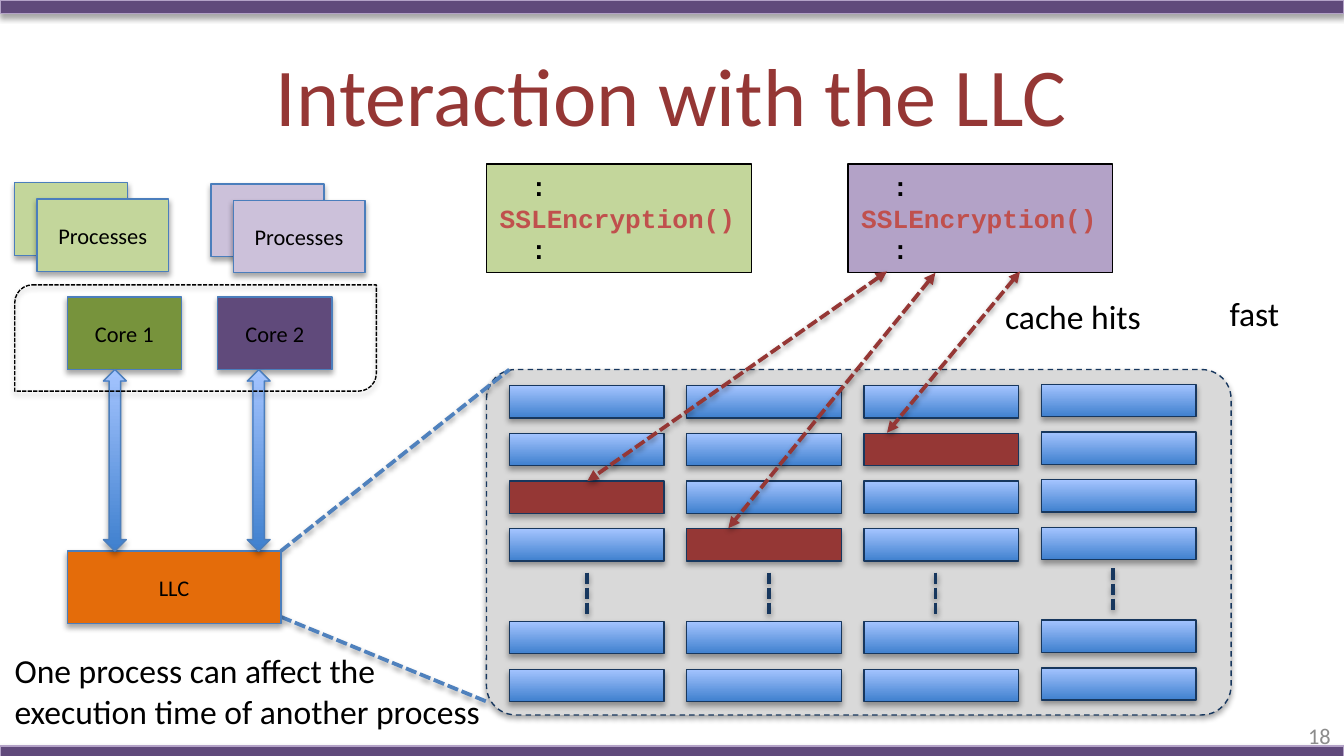
import pptx
import pptx.util
import pptx.dml.color
import pptx.enum.dml
import pptx.enum.shapes
import pptx.enum.text
import pptx.oxml

COLORS = {
    "bar": "604A7B", "lilac": "B3A2C7", "pale lilac": "CCC1DA",
    "green": "C3D69B", "dark green": "77933C", "orange": "E46C0A",
    "red": "953735", "code red": "C0504D", "navy": "17375E",
    "blue": "4F81BD", "edge": "4B7EBC", "sky": "A4C4FF", "deep sky": "3F80CE",
    "cache": "D9D9D9", "black": "000000", "gray": "8C8C8C",
}
RGB = {name: pptx.dml.color.RGBColor.from_string(value) for name, value in COLORS.items()}
KIND = pptx.enum.shapes.MSO_SHAPE
DASH = pptx.enum.dml.MSO_LINE
ALIGN = pptx.enum.text.PP_ALIGN
MIDDLE = pptx.enum.text.MSO_ANCHOR.MIDDLE
GROW = pptx.enum.text.MSO_AUTO_SIZE.SHAPE_TO_FIT_TEXT
A_NS = 'xmlns:a="http://schemas.openxmlformats.org/drawingml/2006/main"'

# The slide is a grid of square cells, 100 columns by 56.25 rows.
deck = pptx.Presentation()
deck.slide_width = pptx.util.Inches(10)
deck.slide_height = pptx.util.Inches(5.625)
CELL = deck.slide_width / 100
slide = deck.slides.add_slide(deck.slide_layouts[5])
shadowed = []


def place(area, fill, edge="edge", kind=KIND.RECTANGLE, label="", shadow=True):
    """Add a shape at (column, row, columns, rows); fill "sky" is a gradient."""
    shape = slide.shapes.add_shape(kind, *(round(n * CELL) for n in area))
    shape.shadow.inherit = False
    if fill == "sky":
        shape.fill.gradient()
        shape.fill.gradient_angle = 90
        for stop, name in zip(shape.fill.gradient_stops, ("deep sky", "sky")):
            stop.color.rgb = RGB[name]
    elif fill:
        shape.fill.solid()
        shape.fill.fore_color.rgb = RGB[fill]
    else:
        shape.fill.background()
    shape.line.color.rgb = RGB[edge]
    shape.line.width = pptx.util.Pt(0.75)
    if label:
        shape.text_frame.text = label
        shape.text_frame.vertical_anchor = MIDDLE
        paragraph = shape.text_frame.paragraphs[0]
        paragraph.alignment = ALIGN.CENTER
        paragraph.runs[0].font.size = pptx.util.Pt(12)
        paragraph.runs[0].font.name = "Calibri"
        paragraph.runs[0].font.color.rgb = RGB["black"]
    if shadow:
        shadowed.append((shape, 35, 1.6 + 0.2))
    return shape


def connect(start, end, color, arrows=False):
    line = slide.shapes.add_connector(
        pptx.enum.shapes.MSO_CONNECTOR.STRAIGHT, *(round(n * CELL) for n in start + end))
    line.line.color.rgb = RGB[color]
    line.line.width = pptx.util.Pt(2)
    line.line.dash_style = DASH.SQUARE_DOT
    if arrows:
        for tag in ("headEnd", "tailEnd"):
            line.line._get_or_add_ln().append(
                pptx.oxml.parse_xml(f'<a:{tag} {A_NS} type="triangle"/>'))
    line._element.spPr.append(pptx.oxml.parse_xml(f"<a:effectLst {A_NS}/>"))
    shadowed.append((line, 38, 1.6))


# Bars and title
for bar_row in (0, 55.5):
    place((0, bar_row, 100, 1), "bar", "lilac")

title = slide.shapes.title
title.left, title.top, title.width, title.height = (round(n * CELL) for n in (5, 2.3, 90, 9.4))
title.text_frame.text = "Interaction with the LLC"
title.text_frame.vertical_anchor = MIDDLE
title.text_frame.paragraphs[0].alignment = ALIGN.CENTER
title_font = title.text_frame.paragraphs[0].runs[0].font
title_font.size = pptx.util.Pt(44)
title_font.name = "Calibri"
title_font.color.rgb = RGB["red"]

# Cache with its lines; each column has one gap, marked by dots
cache = place((36.2, 27.5, 55.4, 25.7), "cache", "navy", KIND.ROUNDED_RECTANGLE)
cache.adjustments[0] = 0.085
cache.line.dash_style = DASH.DASH
shared_lines = {(0, 2), (1, 3), (2, 1)}
for row, top in enumerate((28.7, 32.25, 35.8, 39.35, 46.25, 49.8)):
    for column in range(4):
        lift = 0.1 if column == 3 else 0
        fill = "red" if (column, row) in shared_lines else "sky"
        place((37.9 + 13.2 * column, top - lift, 11.5, 2.4), fill, "navy")
for dots_column, dots_row in ((43.7, 42.6), (57.2, 42.6), (69.6, 42.6), (82.8, 42.3)):
    connect((dots_column, dots_row), (dots_column, dots_row + 3.3), "navy")

# Zoom lines from the LLC to the cache
connect((20.9, 41), (37.9, 27.5), "blue")
connect((20.9, 45.9), (36.2, 52.2), "blue")

# Code run by each process
for code_column, fill in ((36.2, "green"), (63.1, "lilac")):
    code = place((code_column, 12.2, 19.7, 8.1), fill, "black", shadow=False)
    code.text_frame.text = "  :\nSSLEncryption()\n  :"
    code.text_frame.word_wrap = False
    code.text_frame.auto_size = GROW
    code.text_frame.vertical_anchor = pptx.enum.text.MSO_ANCHOR.TOP
    for paragraph, color in zip(code.text_frame.paragraphs, ("black", "code red", "black")):
        paragraph.alignment = ALIGN.LEFT
        code_font = paragraph.runs[0].font
        code_font.size = pptx.util.Pt(14)
        code_font.name = "Courier New"
        code_font.bold = True
        code_font.color.rgb = RGB[color]

# Cache hits
for code_point, line_point in (((69.6, 20.3), (54.2, 39.3)),
                               ((66, 20.2), (43.7, 35.8)),
                               ((75.9, 20.2), (66, 32.2))):
    connect(code_point, line_point, "red", arrows=True)

# Remarks and slide number
for words, area, size, color, align, wrap in (
        ("cache hits", (73.8, 21.5, 12.3, 4), 18, "black", ALIGN.LEFT, False),
        ("fast", (90.5, 21.3, 5.8, 4), 18, "black", ALIGN.LEFT, False),
        ("One process can affect the execution time of another process",
         (0.1, 47.9, 38.2, 7.1), 18, "black", ALIGN.LEFT, True),
        ("18", (76.7, 53.2, 23.3, 3), 12, "gray", ALIGN.RIGHT, True)):
    remark = slide.shapes.add_textbox(*(round(n * CELL) for n in area))
    remark.text_frame.text = words
    remark.text_frame.word_wrap = wrap
    if size == 18:
        remark.text_frame.auto_size = GROW
    else:
        remark.text_frame.vertical_anchor = MIDDLE
    remark.text_frame.paragraphs[0].alignment = align
    remark_font = remark.text_frame.paragraphs[0].runs[0].font
    remark_font.size = pptx.util.Pt(size)
    remark_font.name = "Calibri"
    remark_font.color.rgb = RGB[color]

# Processor: processes above cores, cores joined to the LLC
place((5, 41, 15.9, 5.4), "orange", label="LLC")
for stack_column, stack_row, fill in ((1.1, 13.6, "green"), (15.7, 13.7, "pale lilac")):
    place((stack_column, stack_row, 8.4, 5.4), fill)
    place((stack_column + 1.65, stack_row + 1.2, 9.8, 5.4), fill, label="Processes")
for core_column, bus_column, fill, name in ((5, 7.7, "dark green", "Core 1"),
                                            (16.2, 18.4, "bar", "Core 2")):
    place((core_column, 22.1, 8.5, 5.4), fill, label=name)
    place((bus_column, 27.5, 1.7, 13.5), "sky", kind=KIND.UP_DOWN_ARROW)
chip = place((1.1, 21.2, 26.9, 7.9), None, "black", KIND.ROUND_2_DIAG_RECTANGLE)
chip.line.dash_style = DASH.SQUARE_DOT

# Soft shadows straight down
for part, opacity, distance in shadowed:
    effects = part._element.spPr.find(pptx.oxml.ns.qn("a:effectLst"))
    effects.append(pptx.oxml.parse_xml(
        f'<a:outerShdw {A_NS} blurRad="{pptx.util.Pt(3.1)}" dist="{pptx.util.Pt(distance)}" '
        f'dir="5400000" rotWithShape="0"><a:srgbClr val="{COLORS["black"]}">'
        f'<a:alpha val="{opacity * 1000}"/></a:srgbClr></a:outerShdw>'))

deck.save("out.pptx")
